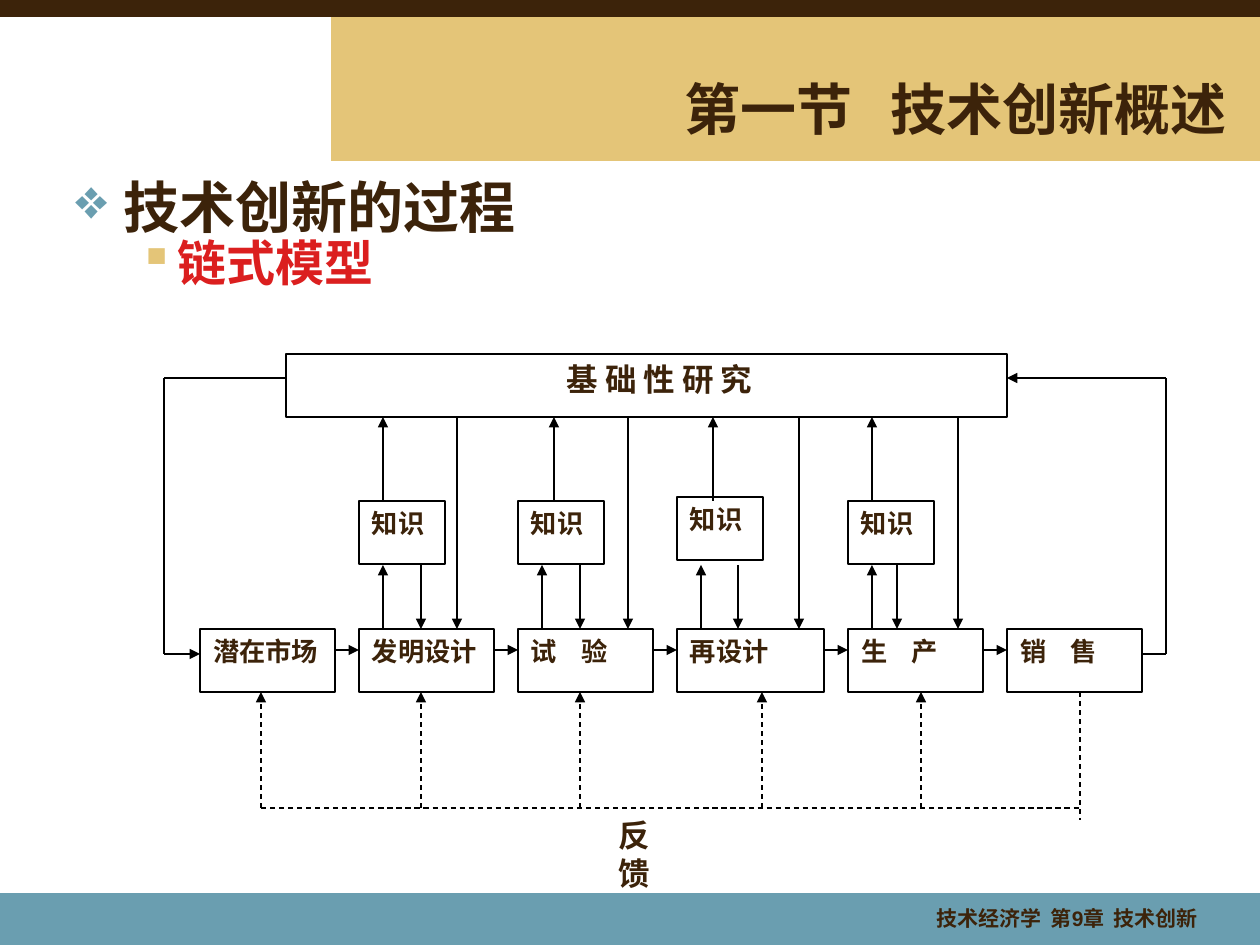
from lxml import etree
from pptx import Presentation
from pptx.dml.color import RGBColor
from pptx.enum.dml import MSO_LINE
from pptx.enum.shapes import MSO_CONNECTOR, MSO_SHAPE
from pptx.enum.text import MSO_ANCHOR, PP_ALIGN
from pptx.oxml.ns import qn
from pptx.util import Pt

RECT = MSO_SHAPE.RECTANGLE
LINE = MSO_CONNECTOR.STRAIGHT
DASH = MSO_LINE.DASH
TOP, MID = MSO_ANCHOR.TOP, MSO_ANCHOR.MIDDLE
LEFT, MIDDLE, RIGHT = PP_ALIGN.LEFT, PP_ALIGN.CENTER, PP_ALIGN.RIGHT
JUST = PP_ALIGN.JUSTIFY

INK, SAND, BLUE, RED = "3C230A", "E4C578", "6A9EB0", "DB1F1F"
BLACK, WHITE = "000000", "FFFFFF"
SANS, SERIF = "Arial", "Times New Roman"

# Content
TITLE = "第一节   技术创新概述"
FOOT = "技术经济学  第9章  技术创新"
BASE, KNOW, BACK = "基 础 性 研 究", "知识", "反馈"
BANDS = [(331, 16, 929, 145, SAND), (0, 893, 1260, 55, BLUE),
         (0, 0, 1260, 16, INK)]
# text, size, font, colour, bullet, its colour, indent, hang, space before
POINTS = [("技术创新的过程", 32, "DejaVu Sans", INK, "❖", BLUE, 48, 48, 0),
          ("链式模型", 28, SANS, RED, "▪", SAND, 102, 39, 3)]
# text, left, width, feedback arrow offset
STAGES = [("潜在市场", 200, 135, 61), ("发明设计", 359, 135, 62),
          ("试    验", 518, 135, 62), ("再设计", 677, 147, 85),
          ("生    产", 848, 135, 73), ("销    售", 1007, 135, None)]
# left, top, then offsets of: arrow to base, arrow down, arrow from base
NOTES = [(359, 501, 24, 62, 98), (518, 501, 36, 62, 110),
         (677, 497, 36, 61, 122), (848, 501, 24, 49, 110)]

# Levels of the chart
BASE_X, BASE_Y, BASE_W = 286, 354, 721
BASE_END, NOTE_Y, NOTE_END = 417, 501, 565
ROW_Y, ROW_END, BOX_H = 629, 692, 63
FLOW_Y, SIDE_Y, LOOP_Y, BACK_Y = 650, 654, 378, 808
LOOP_L, LOOP_R, BACK_L, BACK_R = 164, 1166, 261, 1080


def px(n):
    return round(n * 914400 / 126)


def rgb(code):
    return RGBColor.from_string(code)


def style(para, size, font, color):
    for run in para.runs:
        run.font.size = Pt(size)
        run.font.name = font
        run.font.bold = True
        run.font.color.rgb = rgb(color)


def write(shape, text, size, font, align, anchor=TOP, wrap=True,
          left=13, right=13):
    frame = shape.text_frame
    frame.text = text
    frame.word_wrap = wrap
    frame.vertical_anchor = anchor
    frame.margin_left, frame.margin_right = px(left), px(right)
    frame.margin_top = frame.margin_bottom = px(6)
    para = frame.paragraphs[0]
    para.alignment = align
    style(para, size, font, INK)


def rect(x, y, w, h, fill, edge=None):
    box = slide.shapes.add_shape(RECT, px(x), px(y), px(w), px(h))
    box.shadow.inherit = False
    box.fill.solid()
    box.fill.fore_color.rgb = rgb(fill)
    if edge:
        box.line.color.rgb = rgb(edge)
        box.line.width = Pt(0.75)
    else:
        box.line.fill.background()
    return box


def node(text, x, y, w):
    write(rect(x, y, w, BOX_H, WHITE, BLACK), text, 15, SERIF, JUST)


def label(x, y, w, h):
    return slide.shapes.add_textbox(px(x), px(y), px(w), px(h))


def link(x1, y1, x2, y2, head=True, dash=False):
    line = slide.shapes.add_connector(LINE, px(x1), px(y1), px(x2), px(y2))
    line.line.color.rgb = rgb(BLACK)
    line.line.width = Pt(0.75)
    if dash:
        line.line.dash_style = DASH
    if head:
        etree.SubElement(line.line._get_or_add_ln(), qn("a:tailEnd"),
                         type="triangle")
    etree.SubElement(line.element.spPr, qn("a:effectLst"))


def bullet(para, char, color, left, hang):
    prop = para._p.get_or_add_pPr()
    prop.set("marL", str(px(left)))
    prop.set("indent", str(-px(hang)))
    tint = etree.SubElement(prop, qn("a:buClr"))
    etree.SubElement(tint, qn("a:srgbClr"), val=color)
    etree.SubElement(prop, qn("a:buChar"), char=char)


deck = Presentation()
deck.slide_width, deck.slide_height = px(1260), px(945)
slide = deck.slides.add_slide(deck.slide_layouts[5])

# Bands and footer
for x, y, w, h, fill in BANDS:
    rect(x, y, w, h, fill, INK if fill == INK else None)
write(label(779, 900, 436, 42), FOOT, 12, SANS, RIGHT, right=17)

# Title, raised above the bands
title = slide.shapes.title
title.left, title.top = px(368), px(69)
title.width, title.height = px(872), px(78)
write(title, TITLE, 32, SANS, RIGHT, MID)
title.element.getparent().append(title.element)

# Bullet points
frame = label(63, 179, 1144, 224).text_frame
frame.word_wrap = True
frame.text = "\n".join(point[0] for point in POINTS)
for para, point in zip(frame.paragraphs, POINTS):
    _, size, font, color, char, tint, left, hang, gap = point
    bullet(para, char, tint, left, hang)
    para.line_spacing = 0.8
    para.space_before = Pt(gap)
    style(para, size, font, color)

# Boxes
write(rect(BASE_X, BASE_Y, BASE_W, BOX_H, WHITE, BLACK), BASE, 18, SERIF,
      MIDDLE, left=39)
for text, x, w, _ in STAGES:
    node(text, x, ROW_Y, w)
for x, y, *_ in NOTES:
    node(KNOW, x, y, 86)

# Arrows between the three levels
for x, _, up, down, far in NOTES:
    link(x + 24, ROW_Y, x + 24, NOTE_END)
    link(x + down, NOTE_END, x + down, ROW_Y)
    link(x + up, NOTE_Y, x + up, BASE_END)
    link(x + far, BASE_END, x + far, ROW_Y)

# Flow along the stages, feedback below
for (_, x, w, off), after in zip(STAGES, STAGES[1:]):
    link(x + w, FLOW_Y, after[1], FLOW_Y)
    link(x + off, BACK_Y, x + off, ROW_END, dash=True)
link(BACK_L, BACK_Y, BACK_R, BACK_Y, head=False, dash=True)
link(BACK_R, ROW_END, BACK_R, 820, head=False, dash=True)
write(label(606, 829, 88, 50), BACK, 18, SANS, LEFT, MID, wrap=False)

# Outer loops: base to market, sales to base
LOOPS = [[(BASE_X, LOOP_Y), (LOOP_L, LOOP_Y), (LOOP_L, SIDE_Y), (200, SIDE_Y)],
         [(1142, SIDE_Y), (LOOP_R, SIDE_Y), (LOOP_R, LOOP_Y),
          (BASE_X + BASE_W, LOOP_Y)]]
for loop in LOOPS:
    for start, end in zip(loop, loop[1:]):
        link(*start, *end, head=end == loop[-1])

deck.save("out.pptx")
